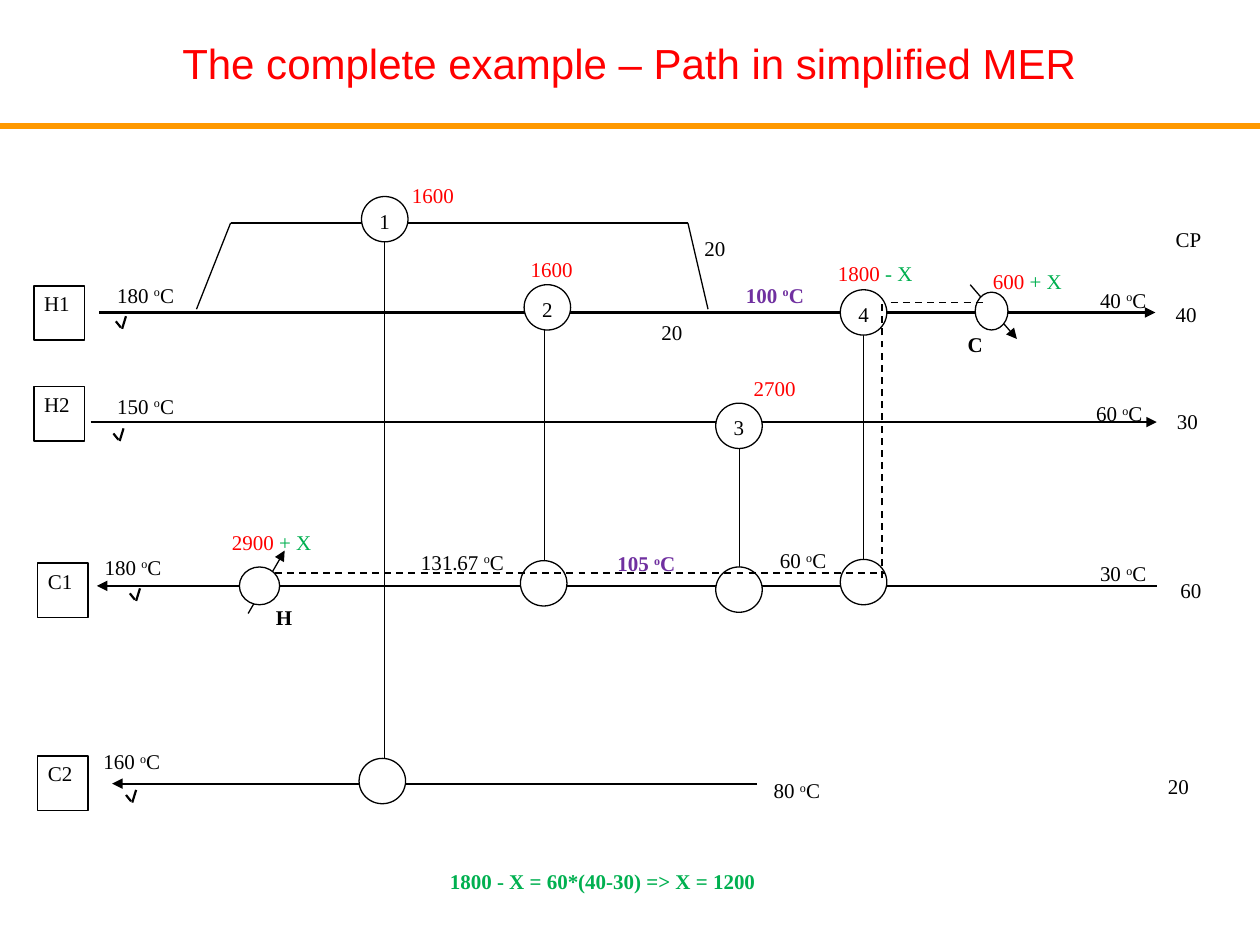
import pptx
import pptx.util
import pptx.dml.color
import pptx.enum.dml
import pptx.enum.shapes
import pptx.enum.text
import pptx.oxml.ns
import lxml.etree

Pt = pptx.util.Pt
RGB = pptx.dml.color.RGBColor
Kind = pptx.enum.shapes.MSO_SHAPE
Align = pptx.enum.text.PP_ALIGN
Anchor = pptx.enum.text.MSO_ANCHOR
qn = pptx.oxml.ns.qn

BLACK = RGB(0, 0, 0)
WHITE = RGB(255, 255, 255)
RED = RGB(255, 0, 0)
GREEN = RGB(0, 176, 80)
PURPLE = RGB(112, 48, 160)
ORANGE = RGB(255, 153, 0)
SERIF = "Times New Roman"
NODE_W, NODE_H = 26.6, 25.9

deck = pptx.Presentation()
deck.slide_width, deck.slide_height = Pt(720), Pt(540)
slide = deck.slides.add_slide(deck.slide_layouts[5])


# Basic parts
def line(x1, y1, x2, y2, width=0.75, color=BLACK, arrow=False, dash=False):
    link = slide.shapes.add_connector(
        pptx.enum.shapes.MSO_CONNECTOR.STRAIGHT, Pt(x1), Pt(y1), Pt(x2), Pt(y2))
    link.line.color.rgb = color
    link.line.width = Pt(width)
    if dash:
        link.line.dash_style = pptx.enum.dml.MSO_LINE.DASH
    props = link._element.spPr
    if arrow:
        tail = lxml.etree.SubElement(props.find(qn("a:ln")), qn("a:tailEnd"))
        tail.set("type", "triangle")
    lxml.etree.SubElement(props, qn("a:effectLst"))


def write(frame, runs, bold=False, align=Align.LEFT, inset=(5.8, 0.7)):
    frame.word_wrap = True
    frame.vertical_anchor = Anchor.TOP
    frame.margin_left = frame.margin_right = Pt(inset[0])
    frame.margin_top = frame.margin_bottom = Pt(inset[1])
    para = frame.paragraphs[0]
    para.alignment = align
    para.line_spacing = 1.15
    para.space_after = Pt(10)
    for text, color, *lift in runs:
        run = para.add_run()
        run.text = text
        run.font.name, run.font.size = SERIF, Pt(12)
        run.font.bold = bold
        run.font.color.rgb = color
        if lift:
            run._r.get_or_add_rPr().set("baseline", str(lift[0] * 1000))


def label(x, y, width, runs, height=23, **style):
    box = slide.shapes.add_textbox(Pt(x), Pt(y), Pt(width), Pt(height))
    write(box.text_frame, runs, **style)


def heat(x, y, value, color=BLACK, width=56, bold=False):
    runs = [(value + " ", color), ("o", color, 30), ("C", color)]
    label(x, y, width, runs, height=28, bold=bold)


def rate(x, y, value):
    label(x, y, 21.6, [(value, BLACK)], inset=(0, 0))


def shape(kind, x, y, width, height, text="", align=Align.CENTER):
    item = slide.shapes.add_shape(kind, Pt(x), Pt(y), Pt(width), Pt(height))
    item.shadow.inherit = False
    item.fill.solid()
    item.fill.fore_color.rgb = WHITE
    item.line.color.rgb = BLACK
    item.line.width = Pt(0.75)
    if text:
        write(item.text_frame, [(text, BLACK)], align=align)


# Title and rule
def header(x, y, width, height):
    title = slide.shapes.title
    title.left, title.top = Pt(x), Pt(y)
    title.width, title.height = Pt(width), Pt(height)
    frame = title.text_frame
    frame.auto_size = pptx.enum.text.MSO_AUTO_SIZE.NONE
    frame.word_wrap = False
    frame.vertical_anchor = Anchor.MIDDLE
    frame.paragraphs[0].alignment = Align.CENTER
    run = frame.paragraphs[0].add_run()
    run.text = "The complete example – Path in simplified MER"
    run.font.name, run.font.size = "Arial", Pt(24)
    run.font.color.rgb = RED
    line(0, y + 54, 720, y + 54, 3, ORANGE)


# One stream: name box, arrow, end temperatures, check mark, CP value
def stream(x, y, name, axis, start, end, first, last, tick, flow):
    line(x + start, y + axis, x + end, y + axis, 1.25, arrow=True)
    shape(Kind.RECTANGLE, x, y, 28.8, 31, name, Align.LEFT)
    for dx, dy, value in (first, last):
        heat(x + dx, y + dy, value)
    tx, ty = x + tick[0], y + tick[1]
    line(tx, ty, tx + 2.9, ty + 3.6, 1.25)
    line(tx + 3.6, ty + 4.3, tx + 5.8, ty - 2.9, 1.25)
    rate(x + flow[0], y + flow[1], flow[2])


# Split branch of the first stream
def branch(x, y, width, height):
    line(x + 19.5, y, x + width - 11.5, y, 1)
    line(x + width - 11.5, y, x + width, y + height)
    line(x + 19.5, y, x, y + height)
    rate(x + 290.2, y + 5, "20")
    rate(x + 265.7, y + 53.3, "20")


# Match between a hot and a cold stream
def match(x, y, name, axis, cold, duty):
    line(x + axis, y + NODE_H, x + axis, y + cold[1] + 6)
    shape(Kind.OVAL, x, y, NODE_W, NODE_H, name)
    shape(Kind.OVAL, x + cold[0], y + cold[1], NODE_W, NODE_H)
    dx, dy, runs = duty
    label(x + dx, y + dy, 70, runs)


# Heater or cooler
def unit(x, y, width, height, name, arrow, tag, duty, load):
    x1, y1, x2, y2 = arrow
    line(x + x1, y + y1, x + x2, y + y2, arrow=True)
    shape(Kind.OVAL, x, y, width, height)
    label(x + tag[0], y + tag[1], 21.6, [(name, BLACK)], bold=True)
    label(x + duty[0], y + duty[1], 80, [(load + " ", RED), ("+ X", GREEN)])


# Dashed path from heater to cooler
def route(x, y, width, height):
    line(x, y + height, x + 349, y + height, 1, dash=True)
    line(x + 347, y + height + 2.9, x + 347, y, 1, dash=True)
    line(x + 352, y, x + width, y, 1, dash=True)


header(94.3, 18, 530.6, 36)

STREAMS = [
    (19.4, 163.4, "H1", 15.2, 37.4, 640.8, (41.8, -5, "180"),
     (603.4, -2.1, "40"), (46.8, 20.2), (652.4, 6.5, "40")),
    (19.4, 221, "H2", 20.2, 32.4, 641.6, (41.8, 0.8, "150"),
     (601.2, 5.1, "60"), (45.4, 26.7), (653.1, 10.1, "30")),
    (21.6, 321.8, "C1", 13, 639.4, 33.8, (32.4, -7.9, "180"),
     (601.2, -4.3, "30"), (52.6, 17.3), (653, 5.8, "60")),
    (21.6, 432, "C2", 15.8, 411.1, 42.5, (31.7, -7.2, "160"),
     (414.7, 9.4, "80"), (50.4, 22.3), (645.8, 7.9, "20")),
]
for row in STREAMS:
    stream(*row)
rate(671.8, 127.4, "CP")
branch(112.3, 127.4, 292.3, 49.3)

MATCHES = [
    (206.6, 112.3, "1", 13, (-1.4, 321.1), (23, -10.8, [("1600", RED)])),
    (299.5, 162.7, "2", 11.5, (-2.1, 157.7), (-2.1, -18.7, [("1600", RED)])),
    (409, 230.4, "3", 13.6, (0, 93.6), (15.8, -18.7, [("2700", RED)])),
    (480.2, 165.6, "4", 13.3, (0, 154.1),
     (-7.2, -19.4, [("1800 ", RED), ("- X", GREEN)])),
]
for row in MATCHES:
    match(*row)

unit(136.8, 324, 23, 21.6, "H", (5, 26.6, 25.9, -9.4),
     (15.1, 18.7), (-10.1, -24.5), "2900")
unit(557.3, 167, 18.7, 21.6, "C", (-2.9, -4.3, 23.8, 26.7),
     (-10.1, 19.5), (4.3, -16.5), "600")

# Temperatures between matches
heat(420.5, 158.4, "100", PURPLE, bold=True)
heat(347, 311.8, "105", PURPLE, bold=True)
heat(439.9, 310.3, "60")
heat(234.7, 311, "131.67", width=66)

route(157, 172.8, 407.5, 154.8)
label(251.3, 493.2, 218.2, [("1800 - X = 60*(40-30) => X = 1200", GREEN)], bold=True)

deck.save("out.pptx")
